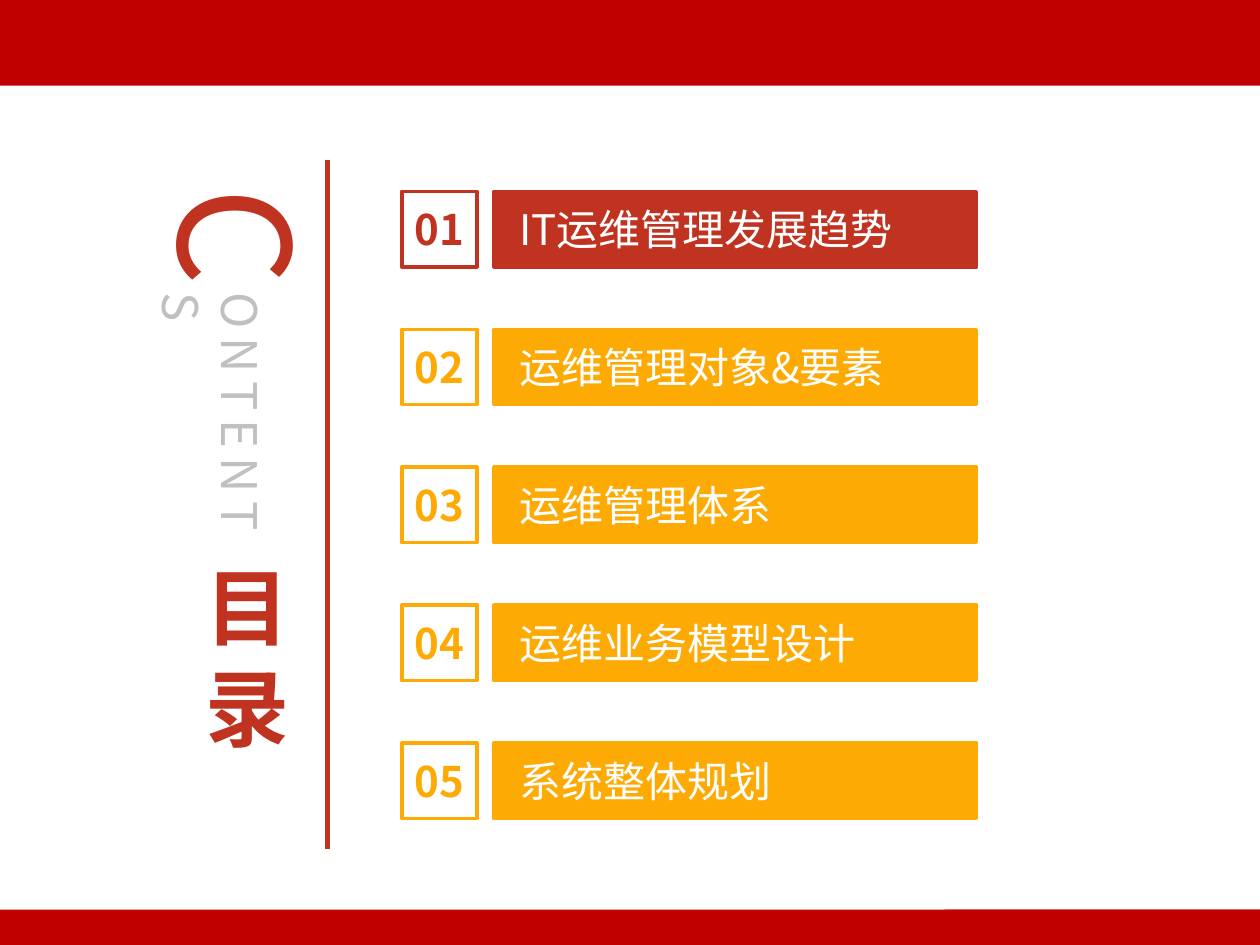
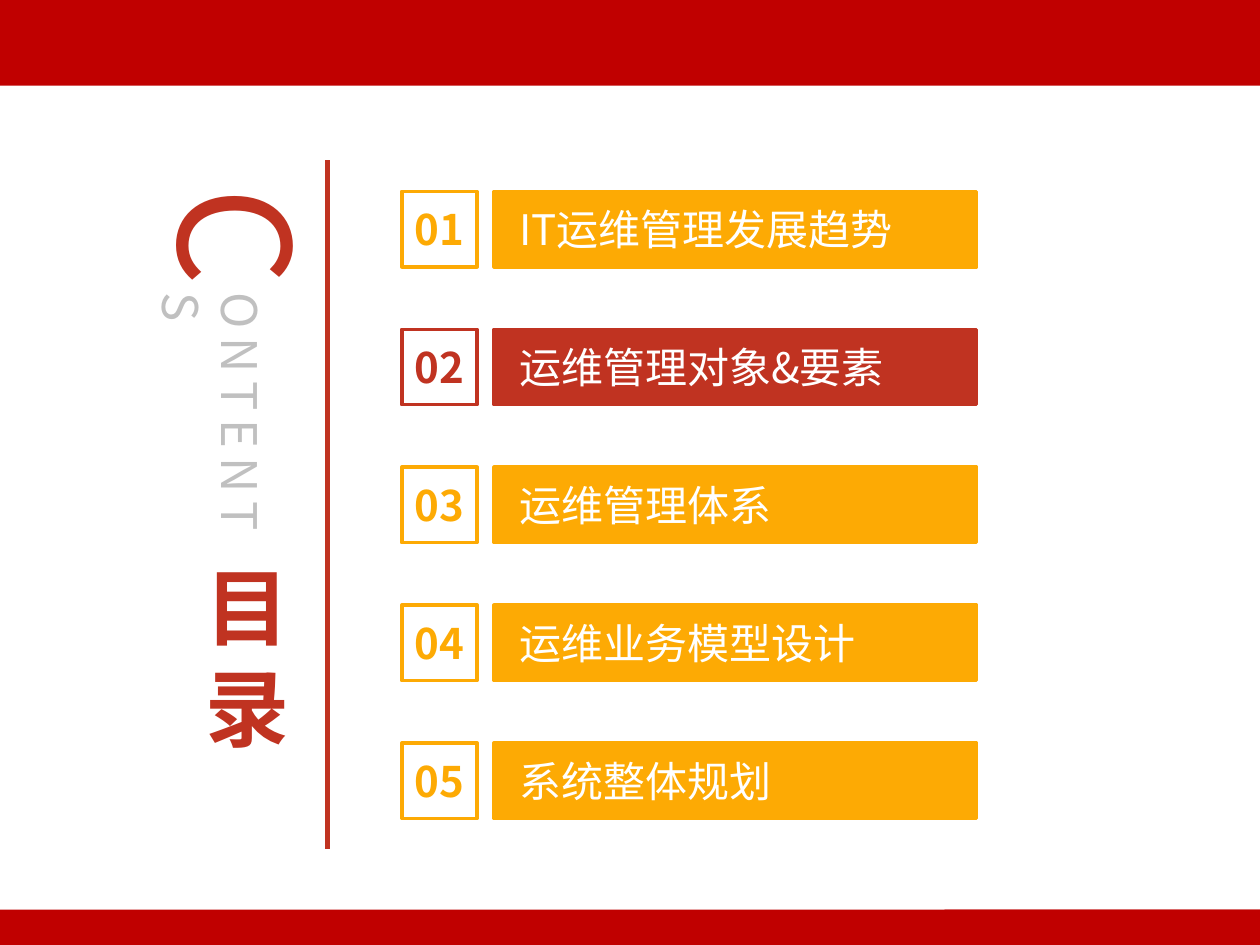
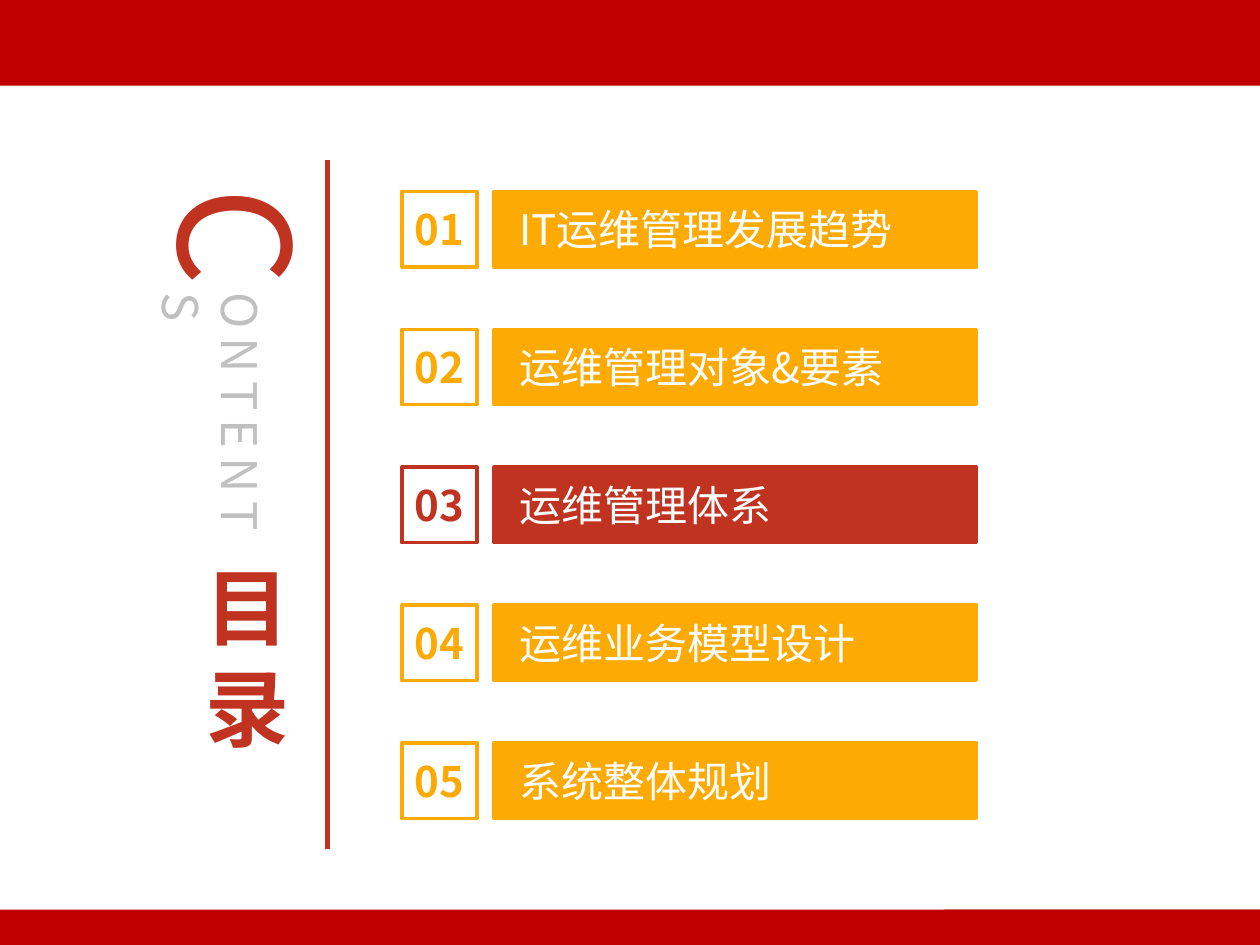
import pptx
import pptx.dml.color
import pptx.enum.shapes
import pptx.enum.text
import pptx.oxml.ns
import pptx.util
from lxml import etree

Cm = pptx.util.Cm
SHAPE = pptx.enum.shapes.MSO_SHAPE
ALIGN = pptx.enum.text.PP_ALIGN
MIDDLE = pptx.enum.text.MSO_ANCHOR.MIDDLE

# Shared style, lengths in centimetres
FONT = "Noto Sans CJK SC"
BAND, ACTIVE, IDLE, GREY, WHITE = "C00000", "C03321", "FDAA04", "C0C0C0", "FFFFFF"
WIDTH, HEIGHT = 25.4, 19.05
FOOTER_TOP, FOOTER_HEIGHT, TAB_WIDTH = 18.34, 0.71, 6.71
ROW_TOP, ROW_PITCH, ROW_HEIGHT = 3.86, 2.78, 1.52
NUMBER_LEFT, TOPIC_LEFT, TOPIC_WIDTH = 8.1, 9.96, 9.73

TOPICS = ["IT运维管理发展趋势", "运维管理对象&要素", "运维管理体系",
          "运维业务模型设计", "系统整体规划"]


def rgb(value):
    return pptx.dml.color.RGBColor.from_string(value)


def set_all(target, values):
    for name, value in values.items():
        setattr(target, name, value)


def write(tf, lines, size, color, bold=False, align=ALIGN.LEFT, insets=(0.25, 0.13, 0.25, 0.13),
          anchor=MIDDLE, vertical=False, spacing=0):
    """Fill a text frame, one paragraph for each line."""
    left, top, right, bottom = (Cm(v) for v in insets)
    set_all(tf, {"word_wrap": True, "auto_size": pptx.enum.text.MSO_AUTO_SIZE.NONE,
                 "vertical_anchor": anchor, "margin_left": left, "margin_top": top,
                 "margin_right": right, "margin_bottom": bottom})
    if vertical:
        tf._txBody.bodyPr.set("vert", "eaVert")
    for i, line in enumerate(lines):
        p = tf.add_paragraph() if i else tf.paragraphs[0]
        p.alignment = align
        r = p.add_run()
        r.text = line
        set_all(r.font, {"size": pptx.util.Pt(size), "bold": bold, "name": FONT})
        r.font.color.rgb = rgb(color)
        rPr = r.font._element
        etree.SubElement(rPr, pptx.oxml.ns.qn("a:ea"), typeface=FONT)
        if spacing:
            rPr.set("spc", str(spacing * 100))


def add_box(slide, box, fill=None, line=None, kind=SHAPE.RECTANGLE):
    sp = slide.shapes.add_shape(kind, *(Cm(v) for v in box))
    sp.shadow.inherit = False
    if fill:
        sp.fill.solid()
        sp.fill.fore_color.rgb = rgb(fill)
    else:
        sp.fill.background()
    if line:
        sp.line.color.rgb = rgb(line)
        sp.line.width = pptx.util.Pt(2)
    else:
        sp.line.fill.background()
    return sp


def add_vertical_text(slide, box, text, size, color, **style):
    sp = slide.shapes.add_textbox(*(Cm(v) for v in box))
    write(sp.text_frame, [text], size, color, vertical=True, **style)


def add_rule(slide, x, top, bottom):
    sp = slide.shapes.add_connector(pptx.enum.shapes.MSO_CONNECTOR.STRAIGHT,
                                    Cm(x), Cm(top), Cm(x), Cm(bottom))
    sp.line.color.rgb = rgb(ACTIVE)
    sp.line.width = pptx.util.Pt(3.25)
    etree.SubElement(sp.element.spPr, pptx.oxml.ns.qn("a:effectLst"))


def move_bands_to_master(prs, slide):
    """Draw the bands on a slide, then hand them to the master behind its placeholders."""
    header = add_box(slide, (0, 0, WIDTH, 1.73), BAND)
    footer = add_box(slide, (0, FOOTER_TOP, WIDTH, FOOTER_HEIGHT), BAND)
    tab = add_box(slide, (WIDTH - TAB_WIDTH, FOOTER_TOP, TAB_WIDTH, FOOTER_HEIGHT),
                  BAND, kind=SHAPE.PENTAGON)
    tab.element.spPr.xfrm.set("flipH", "1")
    tree = prs.slide_master.shapes.element
    for i, sp in enumerate((header, footer, tab)):
        sp.element.nvSpPr.cNvPr.set("id", str(101 + i))
        tree.insert(2 + i, sp.element)


def add_topic(slide, index, topic, color):
    """One agenda row: number box and topic bar."""
    top = ROW_TOP + index * ROW_PITCH
    number = add_box(slide, (NUMBER_LEFT, top, ROW_HEIGHT, ROW_HEIGHT), line=color)
    write(number.text_frame, [f"{index + 1:02d}"], 24, color, bold=True,
          align=ALIGN.CENTER, insets=(0, 0, 0, 0))
    bar = add_box(slide, (TOPIC_LEFT, top, TOPIC_WIDTH, ROW_HEIGHT), color, color)
    write(bar.text_frame, [topic], 24, WHITE, insets=(0.51, 0.13, 0.25, 0.13))


def add_heading(slide):
    """Vertical contents heading beside the rule."""
    add_rule(slide, 6.6, 3.23, 17.12)
    add_vertical_text(slide, (3.38, 3.66, 2.92, 3.3), "C", 88, ACTIVE)
    title = slide.shapes.title
    set_all(title, {"left": Cm(3.89), "top": Cm(11.15), "width": Cm(1.93), "height": Cm(4.17)})
    write(title.text_frame, "目录", 48, ACTIVE, bold=True, align=ALIGN.CENTER)
    add_vertical_text(slide, (4.01, 5.77, 1.7, 5.74), "ONTENTS", 28, GREY,
                      anchor=pptx.enum.text.MSO_ANCHOR.TOP, spacing=5)


def add_agenda(slide, current):
    for i, topic in enumerate(TOPICS):
        add_topic(slide, i, topic, ACTIVE if i == current else IDLE)
    add_heading(slide)


def main():
    prs = pptx.Presentation()
    set_all(prs, {"slide_width": Cm(WIDTH), "slide_height": Cm(HEIGHT)})
    title_only = prs.slide_layouts[5]
    slides = [prs.slides.add_slide(title_only) for _ in range(3)]
    move_bands_to_master(prs, slides[0])
    for current, slide in enumerate(slides):
        add_agenda(slide, current)
    prs.save("out.pptx")


if __name__ == "__main__":
    main()
